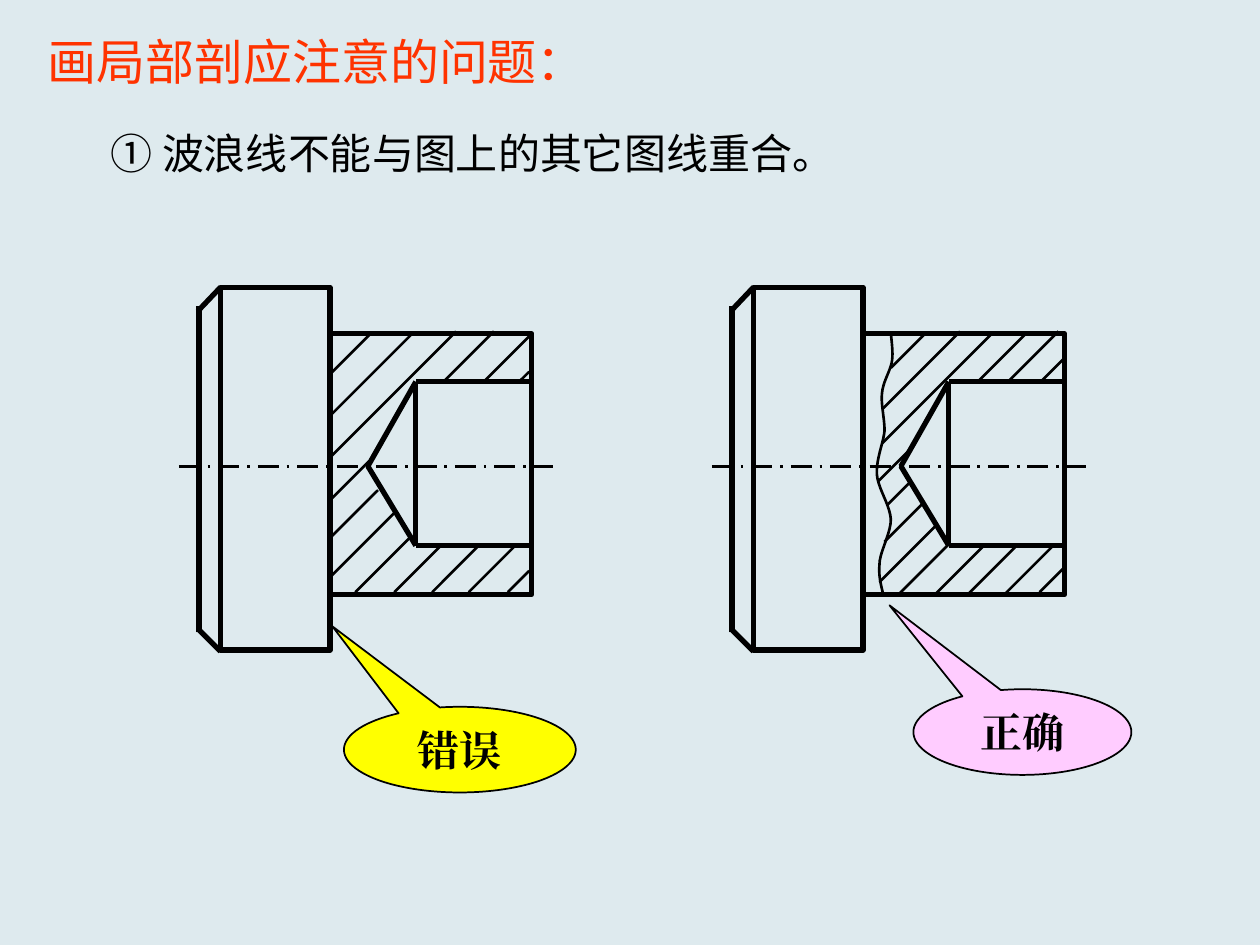
from lxml import etree
from pptx import Presentation
from pptx.dml.color import RGBColor
from pptx.enum.dml import MSO_LINE
from pptx.enum.shapes import MSO_CONNECTOR, MSO_SHAPE
from pptx.enum.text import MSO_ANCHOR, PP_ALIGN
from pptx.oxml.ns import qn
from pptx.util import Inches, Pt

RECT = MSO_SHAPE.RECTANGLE
CALLOUT = MSO_SHAPE.OVAL_CALLOUT
STRAIGHT = MSO_CONNECTOR.STRAIGHT
DASH_DOT = MSO_LINE.LONG_DASH_DOT
TOP, MIDDLE = MSO_ANCHOR.TOP, MSO_ANCHOR.MIDDLE
LEFT, CENTER = PP_ALIGN.LEFT, PP_ALIGN.CENTER

BACKGROUND = RGBColor(0xDE, 0xEA, 0xEE)
BLACK = RGBColor(0, 0, 0)
ORANGE = RGBColor(0xFF, 0x33, 0x00)
YELLOW = RGBColor(0xFF, 0xFF, 0x00)
PINK = RGBColor(0xFF, 0xCC, 0xFF)

SANS, SERIF = "Noto Sans CJK SC", "Times New Roman"
THICK, THIN = 3, 1.5
PART_OFFSET = 4.23

OUTLINE = [
    ((1.75, 2.28), (1.57, 2.47)),
    ((1.75, 5.17), (1.58, 5)),
    ((1.58, 5.02), (1.58, 2.43)),
    ((3.3, 3.03), (4.23, 3.03)),
    ((3.3, 4.33), (4.23, 4.33)),
    ((3.3, 3.03), (3.3, 4.33)),
    ((3.3, 3.03), (2.92, 3.7)),
    ((2.92, 3.7), (3.3, 4.33)),
]

# Each hatch is (left, bottom, run) at 45 degrees.
WRONG_HATCH = [
    (2.62, 2.97, 0.33), (2.62, 3.3, 0.66), (2.62, 3.63, 1),
    (2.62, 3.97, 0.31), (3.53, 3.02, 0.39), (3.85, 3.02, 0.35),
    (4.13, 3.02, 0.07), (2.62, 4.27, 0.38), (2.62, 4.58, 0.51),
    (2.82, 4.7, 0.43), (3.13, 4.7, 0.38), (3.43, 4.7, 0.38),
    (3.72, 4.7, 0.38), (4.03, 4.7, 0.17),
]
RIGHT_HATCH = [
    (7.07, 2.92, 0.28), (7, 3.25, 0.62), (7, 3.52, 0.87),
    (6.97, 3.82, 0.25), (7.77, 3.02, 0.38), (8, 3.03, 0.4),
    (8.27, 3.02, 0.18), (7.04, 4.01, 0.18), (7.02, 4.3, 0.3),
    (6.98, 4.62, 0.45), (7.13, 4.72, 0.4), (7.42, 4.72, 0.38),
    (7.68, 4.72, 0.4), (7.97, 4.72, 0.4), (8.25, 4.7, 0.2),
]
WAVE_START = (7.07, 2.63)
WAVE = [
    ((7.07, 2.67), (7.09, 2.78), (7.08, 2.86)),
    ((7.07, 2.94), (7.01, 3.02), (7, 3.12)),
    ((6.99, 3.21), (7.02, 3.31), (7.02, 3.42)),
    ((7.01, 3.52), (6.95, 3.65), (6.96, 3.77)),
    ((6.97, 3.88), (7.06, 4), (7.07, 4.12)),
    ((7.07, 4.24), (6.98, 4.38), (6.98, 4.48)),
    ((6.97, 4.58), (7, 4.67), (7.01, 4.72)),
]
WAVE_STEPS = 10


def set_line(s, width):
    s.line.color.rgb = BLACK
    s.line.width = Pt(width)


def add_line(shapes, start, end, width):
    s = shapes.add_connector(STRAIGHT, *map(Inches, start + end))
    set_line(s, width)
    etree.SubElement(s._element.spPr, qn("a:effectLst"))
    return s


def add_rect(shapes, *box):
    s = shapes.add_shape(RECT, *map(Inches, box))
    s.shadow.inherit = False
    s.fill.background()
    set_line(s, THICK)


def add_hatch(shapes, hatch):
    for x, y, run in hatch:
        add_line(shapes, (x, y), (x + run, y - run), THIN)


def add_wave(shapes):
    points, start = [], WAVE_START
    for c1, c2, end in WAVE:
        for i in range(1, WAVE_STEPS + 1):
            t = i / WAVE_STEPS
            u = 1 - t
            points.append(tuple(
                Inches(u**3 * a + 3 * u * u * t * b + 3 * u * t * t * c + t**3 * d)
                for a, b, c, d in zip(start, c1, c2, end)))
        start = end
    builder = shapes.build_freeform(*map(Inches, WAVE_START))
    builder.add_line_segments(points, close=False)
    s = builder.convert_to_shape()
    s.shadow.inherit = False
    s.fill.background()
    set_line(s, THIN)


def add_part(slide, dx, hatch):
    shapes = slide.shapes.add_group_shape().shapes
    axis = add_line(shapes, (1.42 + dx, 3.7), (4.39 + dx, 3.7), THIN)
    axis.line.dash_style = DASH_DOT
    add_rect(shapes, 1.75 + dx, 2.28, 0.87, 2.88)
    add_rect(shapes, 2.62 + dx, 2.65, 1.6, 2.07)
    for (x1, y1), (x2, y2) in OUTLINE:
        add_line(shapes, (x1 + dx, y1), (x2 + dx, y2), THICK)
    add_hatch(shapes, hatch)
    return shapes


def set_text(s, text, font, color, align=LEFT, anchor=TOP):
    tf = s.text_frame
    tf.word_wrap = True
    tf.vertical_anchor = anchor
    p = tf.paragraphs[0]
    p.alignment = align
    r = p.add_run()
    r.text = text
    for name, value in font.items():
        setattr(r.font, name, value)
    r.font.color.rgb = color
    etree.SubElement(r.font._element, qn("a:ea"), typeface=font["name"])


def add_text(slide, box, text, size, color, anchor):
    s = slide.shapes.add_textbox(*map(Inches, box))
    set_text(s, text, {"name": SANS, "size": Pt(size)}, color, anchor=anchor)


def add_callout(slide, box, tip, text, color):
    s = slide.shapes.add_shape(CALLOUT, *map(Inches, box))
    s.shadow.inherit = False
    s.fill.solid()
    s.fill.fore_color.rgb = color
    set_line(s, 1)
    s.adjustments[0], s.adjustments[1] = tip
    font = {"name": SERIF, "size": Pt(24), "bold": True}
    set_text(s, text, font, BLACK, CENTER, MIDDLE)


def main():
    prs = Presentation()
    prs.slide_width, prs.slide_height = Inches(10), Inches(7.5)
    slide = prs.slides.add_slide(prs.slide_layouts[6])
    slide.background.fill.solid()
    slide.background.fill.fore_color.rgb = BACKGROUND

    add_text(slide, (0.28, 0.2, 6.3, 0.57), "画局部剖应注意的问题：", 28, ORANGE, TOP)
    add_text(slide, (0.78, 0.96, 8.56, 0.5),
             "① 波浪线不能与图上的其它图线重合。", 24, BLACK, MIDDLE)
    add_part(slide, 0, WRONG_HATCH)
    add_callout(slide, (2.73, 5.61, 1.84, 0.68), (-0.55, -1.44), "错误", YELLOW)
    add_callout(slide, (7.25, 5.47, 1.73, 0.68), (-0.61, -1.48), "正确", PINK)
    add_wave(add_part(slide, PART_OFFSET, RIGHT_HATCH))
    prs.save("out.pptx")


if __name__ == "__main__":
    main()
